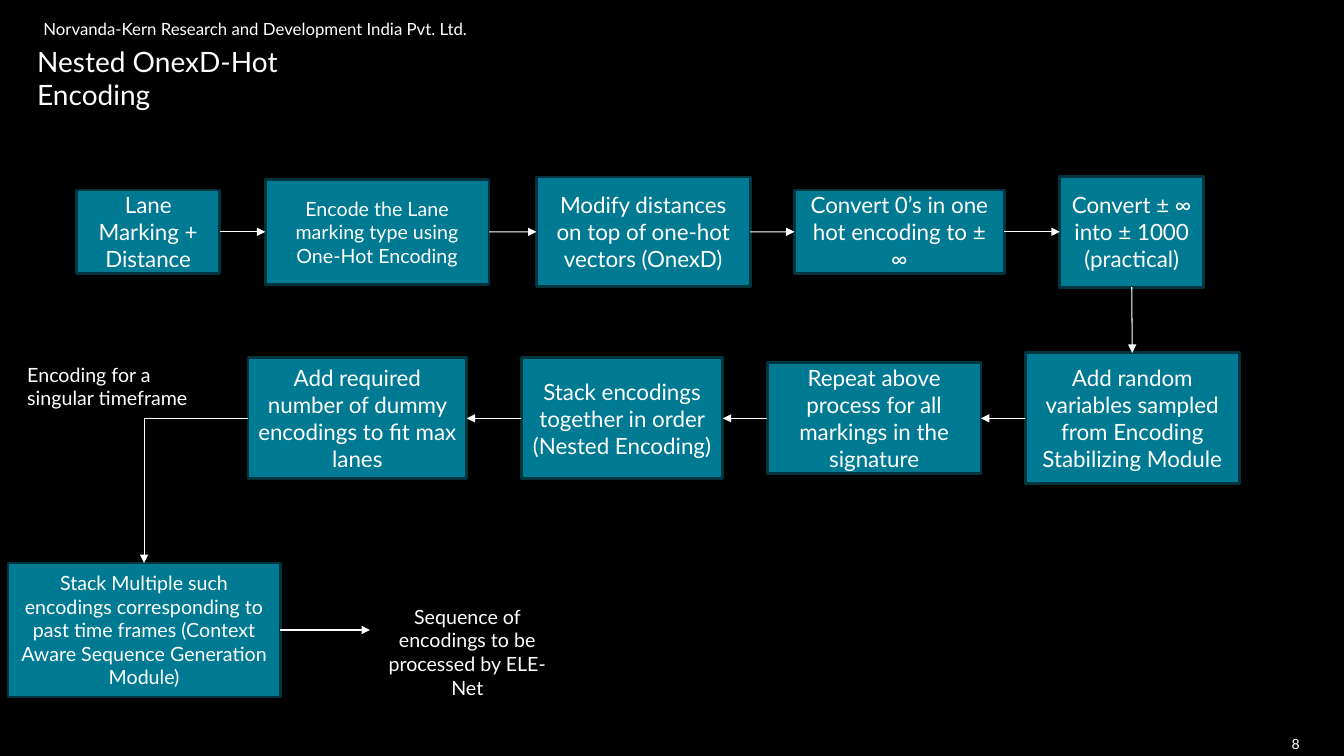
from itertools import pairwise

from lxml.etree import SubElement
from pptx import Presentation
from pptx.dml.color import RGBColor
from pptx.enum.shapes import MSO_CONNECTOR, MSO_SHAPE
from pptx.enum.text import MSO_ANCHOR, PP_ALIGN
from pptx.oxml.ns import qn
from pptx.util import Inches, Pt

TOP, LEFT, BOTTOM, RIGHT = range(4)


def rgb(hex_color):
    return RGBColor.from_string(hex_color)


class FlowSlide:
    font = "Lato"
    ink, back, fill, border = "FFFFFF", "000000", "007A93", "003540"

    def __init__(self, prs):
        self.s = prs.slides.add_slide(prs.slide_layouts[6])
        bg = self.s.background.fill
        bg.solid()
        bg.fore_color.rgb = rgb(self.back)

    def set_text(self, sp, text, size, align, anchor):
        tf = sp.text_frame
        tf.word_wrap = True
        tf.vertical_anchor = anchor
        tf.text = text
        p = tf.paragraphs[0]
        p.alignment = align
        font = p.runs[0].font
        font.name, font.size = self.font, Pt(size)
        font.color.rgb = rgb(self.ink)

    def text(self, x, y, w, h, text, size, align=PP_ALIGN.LEFT,
             anchor=MSO_ANCHOR.TOP, insets=(0, 0, 0, 0)):
        """Add a text box; insets run left, top, right, bottom."""
        sp = self.s.shapes.add_textbox(Inches(x), Inches(y), Inches(w), Inches(h))
        self.set_text(sp, text, size, align, anchor)
        tf = sp.text_frame
        tf.margin_left, tf.margin_top, tf.margin_right, tf.margin_bottom = map(Inches, insets)

    def box(self, x, middle, w, h, text, size=16):
        """Add a process step centred vertically on middle."""
        sp = self.s.shapes.add_shape(MSO_SHAPE.RECTANGLE, Inches(x), Inches(middle - h / 2),
                                     Inches(w), Inches(h))
        sp.shadow.inherit = False
        sp.fill.solid()
        sp.fill.fore_color.rgb = rgb(self.fill)
        sp.line.color.rgb = rgb(self.border)
        sp.line.width = Pt(2)
        self.set_text(sp, text, size, PP_ALIGN.CENTER, MSO_ANCHOR.MIDDLE)
        return sp

    def arrow(self, start, start_side, end=None, end_side=None, length=0, bent=False):
        """Link two steps, or point right from one step over the given length."""
        kind = MSO_CONNECTOR.ELBOW if bent else MSO_CONNECTOR.STRAIGHT
        c = self.s.shapes.add_connector(kind, 0, 0, 0, 0)
        c.begin_connect(start, start_side)
        if end is None:
            c.end_x, c.end_y = c.begin_x + Inches(length), c.begin_y
        else:
            c.end_connect(end, end_side)
        c.line.color.rgb = rgb(self.ink)
        c.line.width = Pt(0.75)
        props = c._element.spPr
        if bent:
            props.find(qn("a:prstGeom")).set("prst", "bentConnector2")
        SubElement(props.find(qn("a:ln")), qn("a:tailEnd"), type="triangle")
        SubElement(props, qn("a:effectLst"))


def main():
    prs = Presentation()
    prs.slide_width, prs.slide_height = Inches(13.33), Inches(7.5)
    flow = FlowSlide(prs)

    flow.text(0.43, 0.17, 6.02, 0.24, "Norvanda-Kern Research and Development India Pvt. Ltd.", 12,
              anchor=MSO_ANCHOR.MIDDLE, insets=(0, 0.05, 0.1, 0.05))
    flow.text(12.54, 7.22, 0.35, 0.33, "8", 10, PP_ALIGN.RIGHT, MSO_ANCHOR.MIDDLE)
    flow.text(0.27, 0.39, 3.61, 0.44, "Nested OnexD-Hot Encoding", 20,
              insets=(0.1, 0.05, 0.1, 0.05))

    upper_middle, lower_middle = 2.3, 4.15
    upper = [flow.box(x, upper_middle, w, h, *label) for x, w, h, *label in (
        (0.76, 1.42, 0.83, "Lane Marking + Distance"),
        (2.63, 2.22, 1.04, "Encode the Lane marking type using One-Hot Encoding", 14),
        (5.32, 2.12, 1.09, "Modify distances on top of one-hot vectors (OnexD)"),
        (7.88, 2.08, 0.83, "Convert 0’s in one hot encoding to ± ∞"),
        (10.51, 1.43, 1.1, "Convert ± ∞ into ± 1000 (practical)"),
    )]
    lower = [flow.box(x, lower_middle, w, h, label) for x, w, h, label in (
        (10.17, 2.12, 1.3, "Add random variables sampled from Encoding Stabilizing Module"),
        (7.61, 2.12, 1.1, "Repeat above process for all markings in the signature"),
        (5.17, 2, 1.2, "Stack encodings together in order (Nested Encoding)"),
        (2.46, 2.17, 1.2, "Add required number of dummy encodings to fit max lanes"),
    )]
    context = flow.box(0.08, 6.25, 2.7, 1.33,
                       "Stack Multiple such encodings corresponding to past time frames "
                       "(Context Aware Sequence Generation Module)", 14)

    for start, end in pairwise(upper):
        flow.arrow(start, RIGHT, end, LEFT)
    flow.arrow(upper[-1], BOTTOM, lower[0], TOP)
    for start, end in pairwise(lower):
        flow.arrow(start, LEFT, end, RIGHT)
    flow.arrow(lower[-1], LEFT, context, TOP, bent=True)
    flow.arrow(context, RIGHT, length=0.89)

    flow.text(0.27, 3.6, 1.75, 0.44, "Encoding for a singular timeframe", 14)
    flow.text(3.77, 6, 1.73, 0.82, "Sequence of encodings to be processed by ELE-Net", 14,
              PP_ALIGN.CENTER)
    prs.save("out.pptx")


if __name__ == "__main__":
    main()
